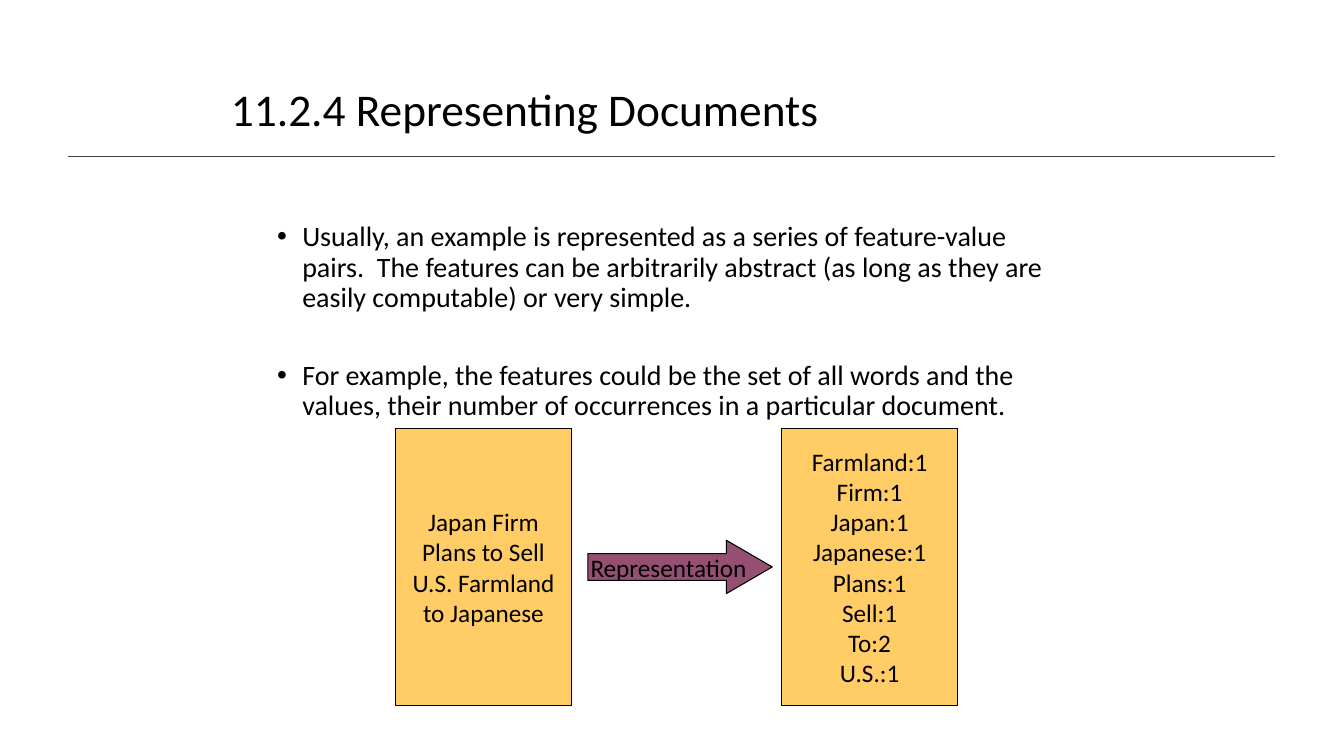
from dataclasses import dataclass

from lxml import etree
from pptx import Presentation
from pptx.dml.color import RGBColor
from pptx.enum.shapes import MSO_CONNECTOR, MSO_SHAPE
from pptx.enum.text import MSO_ANCHOR, PP_ALIGN
from pptx.oxml.ns import qn
from pptx.util import Inches, Pt

LINE = MSO_CONNECTOR.STRAIGHT
RECT, ARROW = MSO_SHAPE.RECTANGLE, MSO_SHAPE.RIGHT_ARROW
MIDDLE, TOP = MSO_ANCHOR.MIDDLE, MSO_ANCHOR.TOP
LEFT, CENTER = PP_ALIGN.LEFT, PP_ALIGN.CENTER


@dataclass(frozen=True)
class Theme:
    """Colours, font and type sizes of the slide."""
    ink: RGBColor = RGBColor(0, 0, 0)
    rule: RGBColor = RGBColor(0x40, 0x40, 0x40)
    card: RGBColor = RGBColor(0xFF, 0xCC, 0x66)
    arrow: RGBColor = RGBColor(0x95, 0x4F, 0x72)
    font: str = "Calibri"
    title: float = 32.4
    body: float = 20
    label: float = 18


THEME = Theme()
POINTS = [
    "Usually, an example is represented as a series of feature-value pairs.  "
    "The features can be arbitrarily abstract (as long as they are easily "
    "computable) or very simple.",
    "For example, the features could be the set of all words and the values, "
    "their number of occurrences in a particular document.",
]
HEADLINE = "Japan Firm Plans to Sell U.S. Farmland to Japanese"
COUNTS = {"Farmland": 1, "Firm": 1, "Japan": 1, "Japanese": 1,
          "Plans": 1, "Sell": 1, "To": 2, "U.S.": 1}


def apply(item, values):
    """Set each named attribute of an item."""
    for name, value in values.items():
        setattr(item, name, value)


def place(item, box):
    """Move an item to a box given in inches."""
    names = ("left", "top", "width", "height")
    apply(item, dict(zip(names, map(Inches, box))))


def write(frame, lines, size, layout, wrap=True, anchor=MIDDLE):
    """Fill a text frame with one styled paragraph per line."""
    apply(frame, {"word_wrap": wrap, "vertical_anchor": anchor})
    frame.text = "\n".join(lines)
    for para in frame.paragraphs:
        apply(para, layout)
        apply(para.runs[0].font, {"name": THEME.font, "size": Pt(size)})
        para.runs[0].font.color.rgb = THEME.ink


def add_title(slide, box, text):
    """Place the heading in the title placeholder."""
    title = slide.shapes.title
    place(title, box)
    write(title.text_frame, [text], THEME.title,
          {"alignment": LEFT, "line_spacing": 0.9})


def add_rule(slide, box):
    """Draw the thin line under the heading."""
    left, top, width, height = map(Inches, box)
    rule = slide.shapes.add_connector(LINE, left, top, left + width, top + height)
    rule.line.color.rgb = THEME.rule
    rule.line.width = Pt(1)
    etree.SubElement(rule._element.spPr, qn("a:effectLst"))


def add_points(slide, box, lines):
    """Write the bulleted text."""
    frame = slide.shapes.add_textbox(*map(Inches, box)).text_frame
    write(frame, lines, THEME.body,
          {"line_spacing": 0.9, "space_before": Pt(10)}, anchor=TOP)
    for para in frame.paragraphs:
        props = para._p.get_or_add_pPr()
        props.set("marL", str(Inches(0.25)))
        props.set("indent", str(-Inches(0.25)))
        etree.SubElement(props, qn("a:buFont"), typeface="Arial")
        etree.SubElement(props, qn("a:buChar"), char="•")
    frame.paragraphs[-1].space_before = Pt(34)


def add_block(slide, kind, box, fill, lines, wrap=True):
    """Draw an outlined shape with centred text."""
    block = slide.shapes.add_shape(kind, *map(Inches, box))
    block.shadow.inherit = False
    block.fill.solid()
    block.fill.fore_color.rgb = fill
    block.line.color.rgb = THEME.ink
    block.line.width = Pt(0.75)
    write(block.text_frame, lines, THEME.label, {"alignment": CENTER}, wrap)
    return block


def add_flow(slide, box):
    """Show a document turned into word counts."""
    left, top, width, height = box
    card = 1.75
    words = [f"{word}:{count}" for word, count in COUNTS.items()]
    add_block(slide, RECT, (left, top, card, height), THEME.card, [HEADLINE])
    add_block(slide, RECT, (left + width - card, top, card, height),
              THEME.card, words)
    arrow = add_block(slide, ARROW, (left + card + 0.16, top + 1.11, 1.83, 0.53),
                      THEME.arrow, ["Representation"], False)
    arrow.adjustments[0] = 0.5
    arrow.adjustments[1] = 0.86


def main():
    """Build and save the slide."""
    deck = Presentation()
    apply(deck, {"slide_width": Inches(13.33), "slide_height": Inches(7.5)})
    slide = deck.slides.add_slide(deck.slide_layouts[5])
    add_rule(slide, (0.67, 1.55, 11.98, 0))
    add_title(slide, (2.19, 0.8, 8, 0.61), "11.2.4 Representing Documents")
    add_points(slide, (2.65, 2.16, 8.03, 4.48), POINTS)
    add_flow(slide, (3.92, 4.25, 5.58, 2.75))
    deck.save("out.pptx")


if __name__ == "__main__":
    main()
